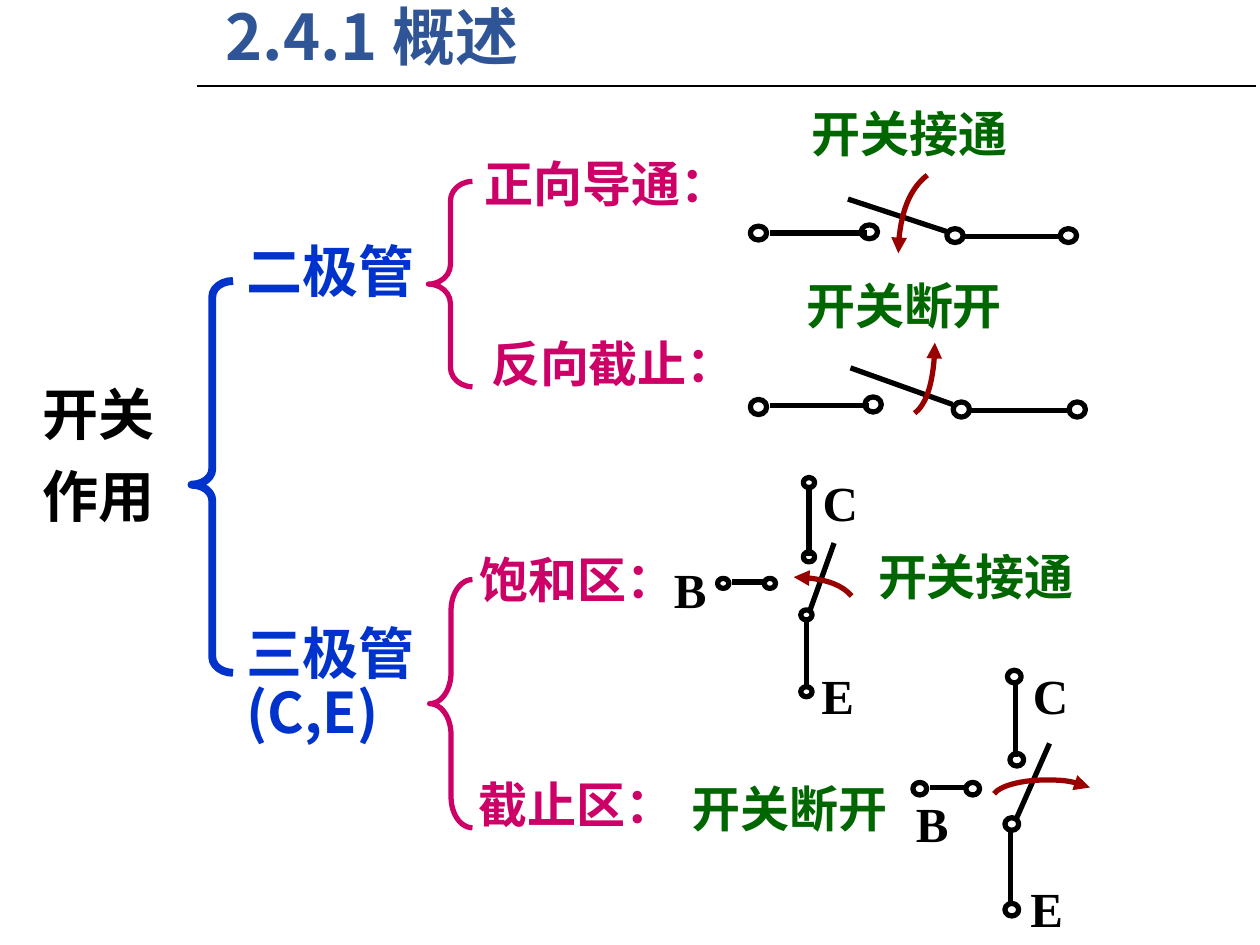
import pptx
import pptx.dml.color
import pptx.enum.shapes
import pptx.enum.text
import pptx.oxml
import pptx.oxml.ns
import pptx.util
from dataclasses import dataclass

PX = 9144


@dataclass(frozen=True)
class Theme:
    black: str = "000000"
    title: str = "2F5597"
    device: str = "0033CC"
    state: str = "CC0066"
    result: str = "006600"
    arrow: str = "990000"
    cjk: str = "Noto Sans CJK SC"
    serif: str = "Times New Roman"
    title_size: int = 36
    device_size: int = 32
    label_size: int = 28
    thin: float = 1.25
    normal: float = 3
    thick: float = 4.5


def rgb(value):
    return pptx.dml.color.RGBColor.from_string(value)


def apply(target, values):
    for name, value in values.items():
        setattr(target, name, value)


def append(parent, tag, **attributes):
    element = pptx.oxml.parse_xml(f"<a:{tag} {pptx.oxml.ns.nsdecls('a')}/>")
    for name, value in attributes.items():
        element.set(name, value)
    parent.append(element)
    return element


class Drawing:
    def __init__(self, slide, theme):
        self.slide = slide
        self.theme = theme
        self.shapes = slide.shapes

    def begin_group(self):
        self.shapes = self.slide.shapes.add_group_shape().shapes

    def end_group(self):
        self.shapes = self.slide.shapes

    def outline(self, shape, color, width):
        shape.line.color.rgb = rgb(color)
        shape.line.width = pptx.util.Pt(width)

    def line(self, x1, y1, x2, y2, width=None):
        connector = self.shapes.add_connector(
            pptx.enum.shapes.MSO_CONNECTOR.STRAIGHT,
            *(value * PX for value in (x1, y1, x2, y2)))
        self.outline(connector, self.theme.black, width or self.theme.normal)
        append(connector.element.spPr, "effectLst")

    def preset(self, kind, left, top, width, height, color, line_width):
        shape = self.shapes.add_shape(
            kind, *(round(value * PX) for value in (left, top, width, height)))
        shape.shadow.inherit = False
        shape.fill.background()
        self.outline(shape, color, line_width)
        return shape

    def brace(self, left, top, width, height, curl, middle, color, line_width):
        shape = self.preset(pptx.enum.shapes.MSO_SHAPE.LEFT_BRACE,
                            left, top, width, height, color, line_width)
        shape.adjustments[0] = curl
        shape.adjustments[1] = middle

    def contact(self, x, y, width, height):
        self.preset(pptx.enum.shapes.MSO_SHAPE.OVAL,
                    x - width / 2, y - height / 2, width, height,
                    self.theme.black, self.theme.normal)

    def curved_arrow(self, start, *points):
        builder = self.shapes.build_freeform(*start, scale=PX)
        builder.add_line_segments(points, close=False)
        shape = builder.convert_to_shape()
        shape.shadow.inherit = False
        shape.fill.background()
        self.outline(shape, self.theme.arrow, self.theme.normal)
        qn = pptx.oxml.ns.qn
        segments = list(shape.element.iter(qn("a:lnTo")))
        path = segments[0].getparent()
        for index in range(0, len(segments), 3):
            curve = append(path, "cubicBezTo")
            for segment in segments[index:index + 3]:
                curve.append(segment[0])
                path.remove(segment)
        append(shape.element.spPr.find(qn("a:ln")), "tailEnd", type="triangle")

    def text(self, left, top, width, height, lines, color, size,
             latin=None, spacing=0.88):
        box = self.shapes.add_textbox(
            *(value * PX for value in (left, top, width, height)))
        frame = box.text_frame
        apply(frame, {"word_wrap": True,
                      "auto_size": pptx.enum.text.MSO_AUTO_SIZE.NONE})
        for index, line in enumerate(lines):
            paragraph = frame.add_paragraph() if index else frame.paragraphs[0]
            apply(paragraph, {"line_spacing": spacing,
                              "space_before": pptx.util.Pt(13 if index else 0)})
            run = paragraph.add_run()
            run.text = line
            apply(run.font, {"name": latin or self.theme.cjk, "bold": True,
                             "size": pptx.util.Pt(size)})
            run.font.color.rgb = rgb(color)
            append(run.font._element, "ea", typeface=self.theme.cjk)

    def label(self, left, top, width, words, color):
        self.text(left, top, width, 57, [words], color,
                  self.theme.label_size, self.theme.serif)

    def terminal(self, left, top, letter):
        self.text(left, top + 4, 60, 48, [letter], self.theme.black,
                  self.theme.label_size, self.theme.serif, 1.0)

    def switch(self, lines, contacts, contact_size, arrow, terminals=()):
        self.begin_group()
        for line in lines:
            self.line(*line)
        for x, y in contacts:
            self.contact(x, y, *contact_size)
        self.curved_arrow(*arrow)
        for terminal in terminals:
            self.terminal(*terminal)
        self.end_group()


def main():
    presentation = pptx.Presentation()
    apply(presentation, {"slide_width": 1000 * PX, "slide_height": 750 * PX})
    theme = Theme()
    drawing = Drawing(
        presentation.slides.add_slide(presentation.slide_layouts[6]), theme)

    drawing.line(156, 68, 997, 68, theme.thin)
    drawing.text(169, 1, 828, 71, ["2.4.1 概述"], theme.title, theme.title_size)
    drawing.text(24, 303, 117, 143, ["开关", "作用"], theme.black, theme.device_size)
    drawing.text(186, 190, 175, 63, ["二极管"], theme.device, theme.device_size)
    drawing.text(186, 493, 175, 118, ["三极管(C,E)"], theme.device, theme.device_size)

    drawing.brace(152, 223, 33, 311, 0.38, 0.52, theme.device, theme.thick)
    drawing.brace(340, 144, 35, 163, 0.44, 0.5, theme.state, theme.normal)
    drawing.brace(341, 460, 34, 197, 0.72, 0.5, theme.state, theme.normal)

    for left, top, width, words in (
            (375, 123, 217, "正向导通："), (380, 266, 217, "反向截止："),
            (371, 437, 178, "饱和区："), (370, 616, 178, "截止区：")):
        drawing.label(left, top, width, words, theme.state)
    for left, top, words in (
            (634, 83, "开关接通"), (630, 220, "开关断开"),
            (687, 435, "开关接通"), (539, 619, "开关断开")):
        drawing.label(left, top, 225, words, theme.result)

    drawing.switch(
        [(611, 185, 688, 185), (763, 188, 844, 188), (673, 158, 752, 184)],
        [(690, 184), (602, 185), (848, 187), (758, 187)], (13, 11),
        [(736, 139), (722, 150), (713, 174), (713, 201)])
    drawing.switch(
        [(611, 322, 690, 322), (768, 326, 851, 326), (675, 292, 756, 321)],
        [(693, 321), (602, 323), (855, 325), (763, 325)], (13, 12),
        [(726, 328), (735, 321), (742, 300), (742, 272)])
    drawing.switch(
        [(642, 388, 642, 441), (640, 492, 640, 547), (662, 431, 643, 484),
         (581, 462, 608, 462)],
        [(642, 442), (642, 383), (640, 549), (640, 488), (574, 463), (611, 463)],
        (9, 8),
        [(676, 473), (668, 464), (650, 458), (630, 458)],
        [(643, 366, "C"), (642, 519, "E"), (525, 435, "B")])
    drawing.switch(
        [(806, 543, 806, 601), (802, 658, 802, 719), (833, 590, 807, 649),
         (738, 625, 768, 625)],
        [(807, 603), (805, 537), (803, 722), (803, 654), (730, 626), (772, 626)],
        (11, 10),
        [(789, 630), (793, 624), (810, 619), (830, 619),
         (844, 619), (857, 621), (865, 625)],
        [(810, 519, "C"), (808, 688, "E"), (717, 621, "B")])

    presentation.save("out.pptx")


if __name__ == "__main__":
    main()
